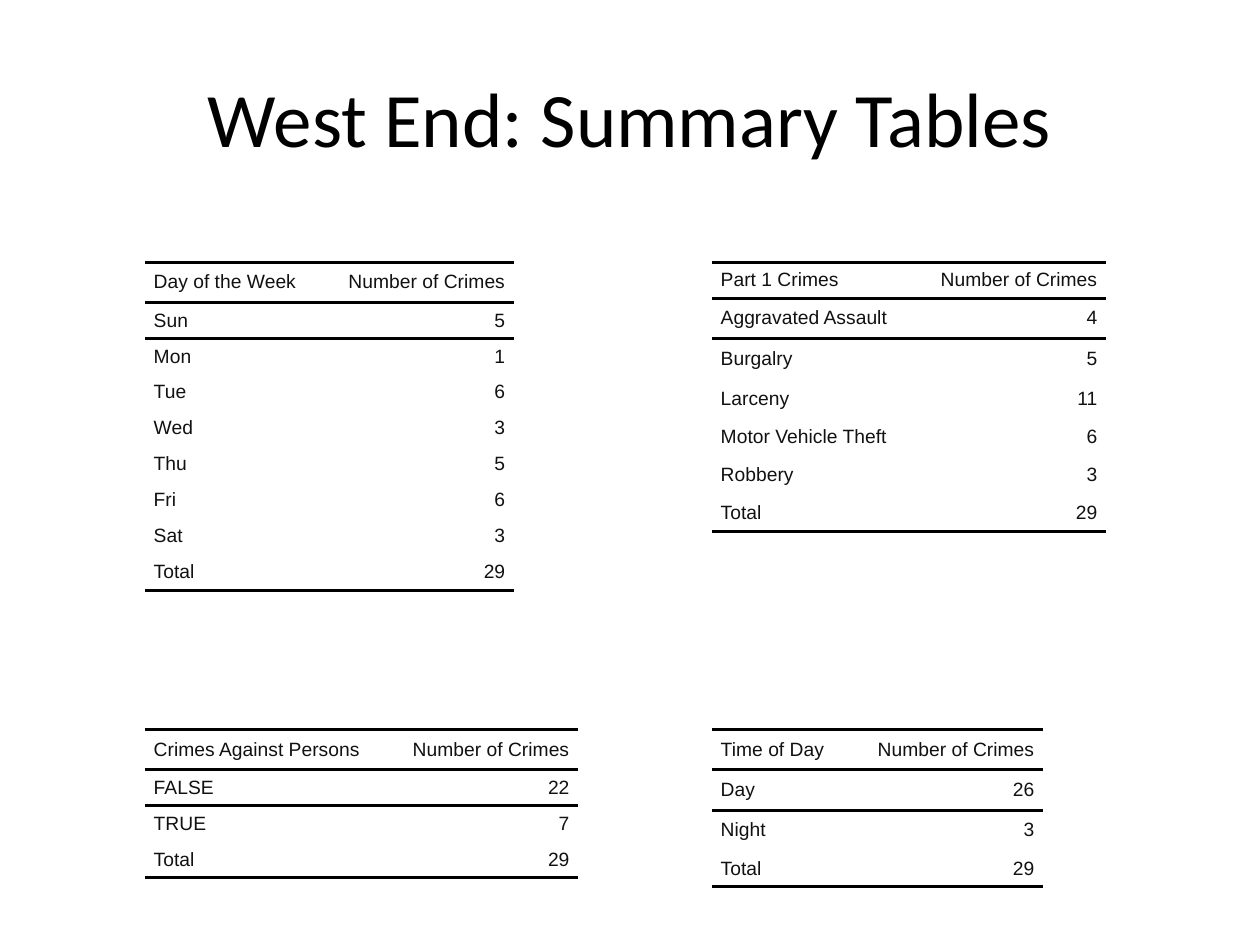
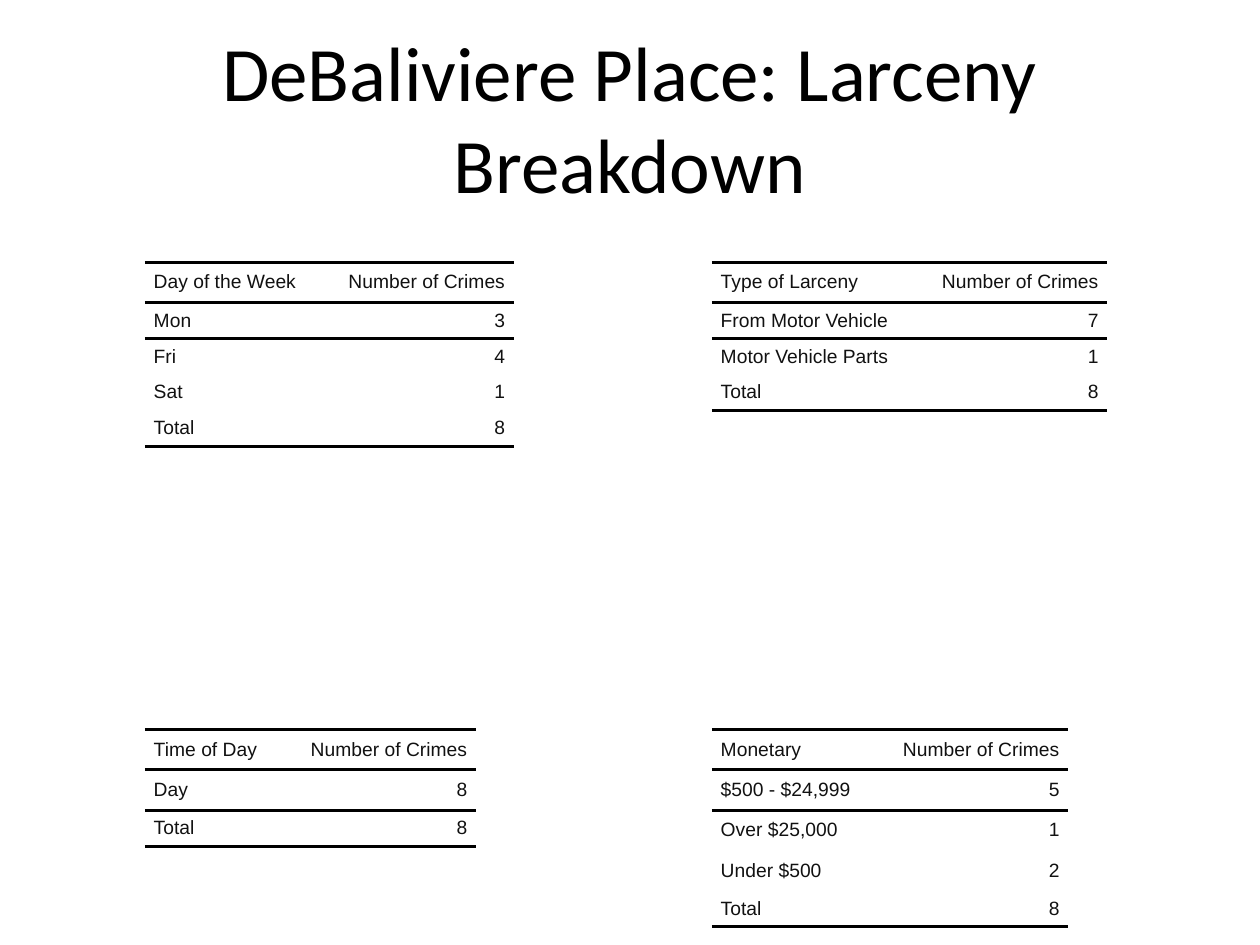
from lxml import etree
from pptx import Presentation
from pptx import util as u
from pptx.dml.color import RGBColor
from pptx.enum import text
from pptx.oxml import ns

BLACK = RGBColor(0x00, 0x00, 0x00)
INK = RGBColor(0x11, 0x11, 0x11)
TITLE_FONT = {"name": "Calibri", "size": u.Pt(44)}
CELL_FONT = {"name": "Arial", "size": u.Pt(11)}
CELL_FORMAT = {
    "margin_left": 0, "margin_right": 0, "margin_top": 0, "margin_bottom": 0,
    "vertical_anchor": text.MSO_ANCHOR.MIDDLE,
}
PLAIN_TABLE = {"first_row": False, "horz_banding": False}
NO_STYLE = "{2D5ABB26-0587-4C30-8999-92F81FD0307C}"

LEFT, RIGHT = 1.15, 5.65
UPPER, LOWER = 2.08, 5.79
COUNT_WIDTH = u.Inches(1.52)
TALL_ROW = u.Inches(0.32)
SHORT_ROW = u.Inches(2 / 7)
CELL_INDENT = u.Inches(0.07)
RULE_WIDTH = u.Pt(2)

# Each table: left, top, label width, heading, counts, indexes of tall rows
SLIDES = {
    "West End: Summary Tables": [
        (RIGHT, UPPER, 1.61, "Part 1 Crimes",
         {"Aggravated Assault": 4, "Burgalry": 5, "Larceny": 11,
          "Motor Vehicle Theft": 6, "Robbery": 3}, {1, 2, 3, 5}),
        (LEFT, UPPER, 1.41, "Day of the Week",
         {"Sun": 5, "Mon": 1, "Tue": 6, "Wed": 3, "Thu": 5, "Fri": 6, "Sat": 3}, {0}),
        (LEFT, LOWER, 1.92, "Crimes Against Persons", {"FALSE": 22, "TRUE": 7}, {0}),
        (RIGHT, LOWER, 1.11, "Time of Day", {"Day": 26, "Night": 3}, {0, 1, 2}),
    ],
    "DeBaliviere Place: Larceny Breakdown": [
        (LEFT, UPPER, 1.41, "Day of the Week", {"Mon": 3, "Fri": 4, "Sat": 1}, {0}),
        (LEFT, LOWER, 1.11, "Time of Day", {"Day": 8}, {0, 1}),
        (RIGHT, UPPER, 1.62, "Type of Larceny",
         {"From Motor Vehicle": 7, "Motor Vehicle Parts": 1}, {0}),
        (RIGHT, LOWER, 1.31, "Monetary",
         {"$500 - $24,999": 5, "Over $25,000": 1, "Under $500": 2}, {0, 1, 2, 3}),
    ],
}


def apply_format(target, values):
    for name, value in values.items():
        setattr(target, name, value)


def write_line(paragraph, words, align, font, color):
    paragraph.alignment = align
    run = paragraph.add_run()
    run.text = words
    apply_format(run.font, font)
    run.font.color.rgb = color


def add_title(slide, words):
    title = slide.shapes.add_textbox(u.Inches(0.5), u.Inches(0.3), u.Inches(9), u.Inches(1.25))
    frame = title.text_frame
    apply_format(frame, {"word_wrap": True, "vertical_anchor": text.MSO_ANCHOR.MIDDLE})
    write_line(frame.paragraphs[0], words, text.PP_ALIGN.CENTER, TITLE_FONT, BLACK)


def add_rules(cell, sides):
    properties = cell._tc.get_or_add_tcPr()
    for position, side in enumerate(sides):
        rule = etree.Element(ns.qn(f"a:ln{side}"), w=str(RULE_WIDTH))
        fill = etree.SubElement(rule, ns.qn("a:solidFill"))
        etree.SubElement(fill, ns.qn("a:srgbClr"), val=str(BLACK))
        properties.insert(position, rule)


def fill_cell(cell, words, align, sides):
    apply_format(cell, CELL_FORMAT)
    cell.fill.background()
    add_rules(cell, sides)
    paragraph = cell.text_frame.paragraphs[0]
    indents = paragraph._p.get_or_add_pPr()
    for edge in ("marL", "marR"):
        indents.set(edge, str(CELL_INDENT))
    write_line(paragraph, words, align, CELL_FONT, INK)


def add_count_table(slide, left, top, label_width, heading, counts, tall_rows):
    rows = [(heading, "Number of Crimes"), *counts.items(), ("Total", sum(counts.values()))]
    heights = [TALL_ROW if i in tall_rows else SHORT_ROW for i in range(len(rows))]
    widths = (u.Inches(label_width), COUNT_WIDTH)
    table = slide.shapes.add_table(
        len(rows), len(widths), u.Inches(left), u.Inches(top), sum(widths), sum(heights)).table
    apply_format(table, PLAIN_TABLE)
    table._tbl.tblPr.find(ns.qn("a:tableStyleId")).text = NO_STYLE
    for column, width in zip(table.columns, widths):
        column.width = width
    rules = {0: "TB", 1: "T", len(rows) - 1: "B"}
    for i, (values, height) in enumerate(zip(rows, heights)):
        table.rows[i].height = height
        for j, align in enumerate((text.PP_ALIGN.LEFT, text.PP_ALIGN.RIGHT)):
            fill_cell(table.cell(i, j), str(values[j]), align, rules.get(i, ""))


def main():
    deck = Presentation()
    apply_format(deck, {"slide_width": u.Inches(10), "slide_height": u.Inches(7.5)})
    for title, tables in SLIDES.items():
        slide = deck.slides.add_slide(deck.slide_layouts[6])
        add_title(slide, title)
        for table in tables:
            add_count_table(slide, *table)
    deck.save("out.pptx")


if __name__ == "__main__":
    main()
